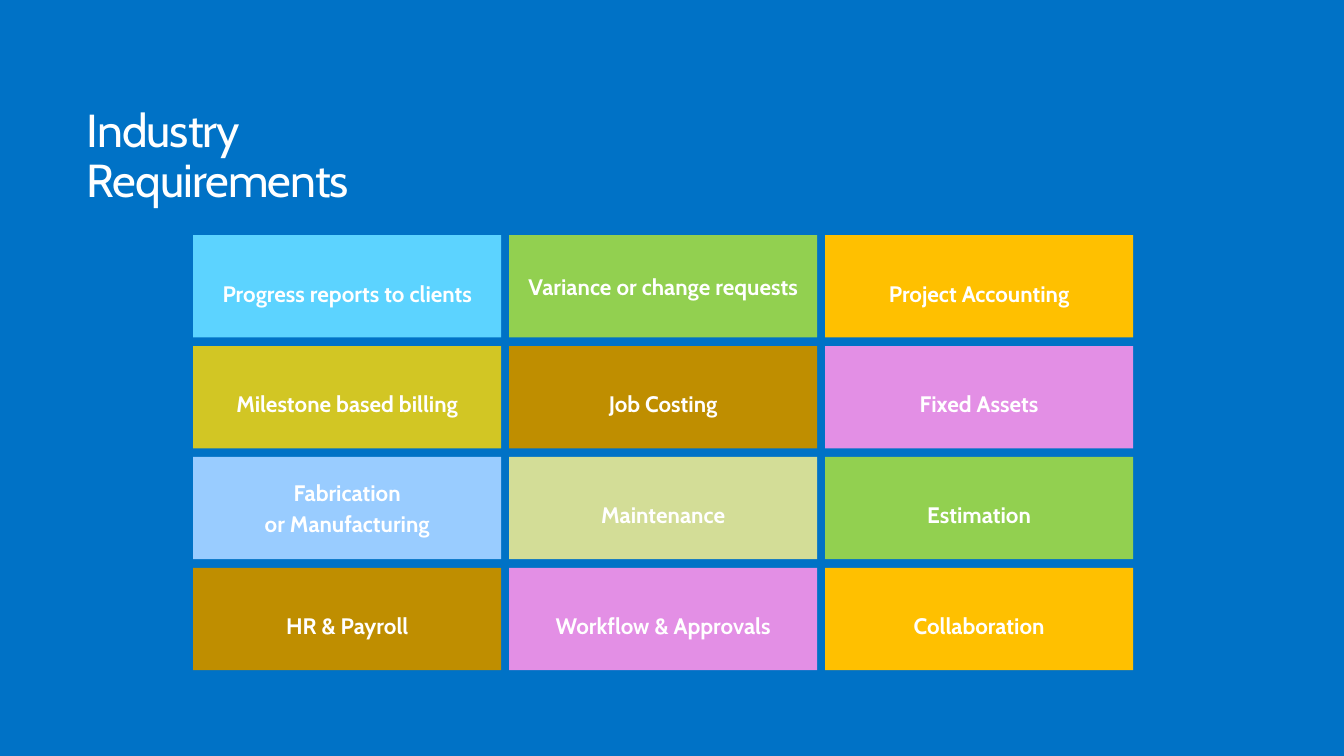
from pptx import Presentation
from pptx.dml.color import RGBColor
from pptx.enum.shapes import MSO_SHAPE
from pptx.enum.text import MSO_ANCHOR, MSO_AUTO_SIZE, PP_ALIGN
from pptx.util import Pt

FONT = "Cabin"
BLUE = RGBColor(0x00, 0x72, 0xC6)
WHITE = RGBColor(0xFF, 0xFF, 0xFF)
CYAN = RGBColor(0x5C, 0xD3, 0xFF)
GREEN = RGBColor(0x92, 0xD0, 0x50)
AMBER = RGBColor(0xFF, 0xC0, 0x00)
OLIVE = RGBColor(0xD2, 0xC6, 0x24)
BROWN = RGBColor(0xBF, 0x8E, 0x00)
PINK = RGBColor(0xE3, 0x8F, 0xE5)
SKY = RGBColor(0x99, 0xCC, 0xFF)
SAGE = RGBColor(0xD3, 0xDD, 0x97)

GRID_LEFT, GRID_TOP = 207, 252
COLUMN_STEP, ROW_STEP = 338.5, 118.8
TILE_WIDTH, TILE_HEIGHT = 330, 109.5

REQUIREMENTS = [
    [(["Progress reports to clients"], CYAN, 1.5),
     (["Variance or change requests"], GREEN, 1),
     (["Project Accounting"], AMBER, 1.5)],
    [(["Milestone based billing"], OLIVE, 1.5),
     (["Job Costing"], BROWN, 1.5),
     (["Fixed Assets"], PINK, 1.5)],
    [(["Fabrication", "or Manufacturing"], SKY, 1),
     (["Maintenance"], SAGE, 1.5),
     (["Estimation"], GREEN, 1.5)],
    [(["HR & Payroll"], BROWN, 1.5),
     (["Workflow & Approvals"], PINK, 1.5),
     (["Collaboration"], AMBER, 1.5)],
]


def add_span(para, text, size, bold=False):
    span = para.add_run()
    span.text = text
    span.font.name = FONT
    span.font.size = Pt(size)
    span.font.bold = bold
    span.font.color.rgb = WHITE
    return span


def add_title(page, text):
    title = page.shapes.title
    title.left, title.top = Pt(93), Pt(115)
    title.width, title.height = Pt(444), Pt(54)
    frame = title.text_frame
    frame.margin_left = frame.margin_right = 0
    frame.margin_top = frame.margin_bottom = 0
    frame.vertical_anchor = MSO_ANCHOR.TOP
    frame.auto_size = MSO_AUTO_SIZE.SHAPE_TO_FIT_TEXT
    frame.word_wrap = True
    para = frame.paragraphs[0]
    para.alignment = PP_ALIGN.LEFT
    para.line_spacing = 0.9
    para.space_before = Pt(0)
    span = add_span(para, text, 49.5)
    span._r.get_or_add_rPr().set("spc", "-100")


def add_tile(page, left, top, lines, fill, spacing):
    tile = page.shapes.add_shape(
        MSO_SHAPE.RECTANGLE, Pt(left), Pt(top), Pt(TILE_WIDTH), Pt(TILE_HEIGHT))
    tile.shadow.inherit = False
    tile.fill.solid()
    tile.fill.fore_color.rgb = fill
    tile.line.fill.background()
    frame = tile.text_frame
    frame.word_wrap = True
    frame.vertical_anchor = MSO_ANCHOR.MIDDLE
    for index, line in enumerate(lines):
        para = frame.add_paragraph() if index else frame.paragraphs[0]
        para.alignment = PP_ALIGN.CENTER
        para.line_spacing = spacing
        if index:
            para.space_before = Pt(4.8)
        add_span(para, line, 24, bold=True)


def main():
    deck = Presentation()
    deck.slide_width, deck.slide_height = Pt(1440), Pt(810)
    page = deck.slides.add_slide(deck.slide_layouts[5])
    page.background.fill.solid()
    page.background.fill.fore_color.rgb = BLUE
    add_title(page, "Industry Requirements")
    for row, tiles in enumerate(REQUIREMENTS):
        for column, (lines, fill, spacing) in enumerate(tiles):
            add_tile(page, GRID_LEFT + column * COLUMN_STEP,
                     GRID_TOP + row * ROW_STEP, lines, fill, spacing)
    deck.save("out.pptx")


if __name__ == "__main__":
    main()
